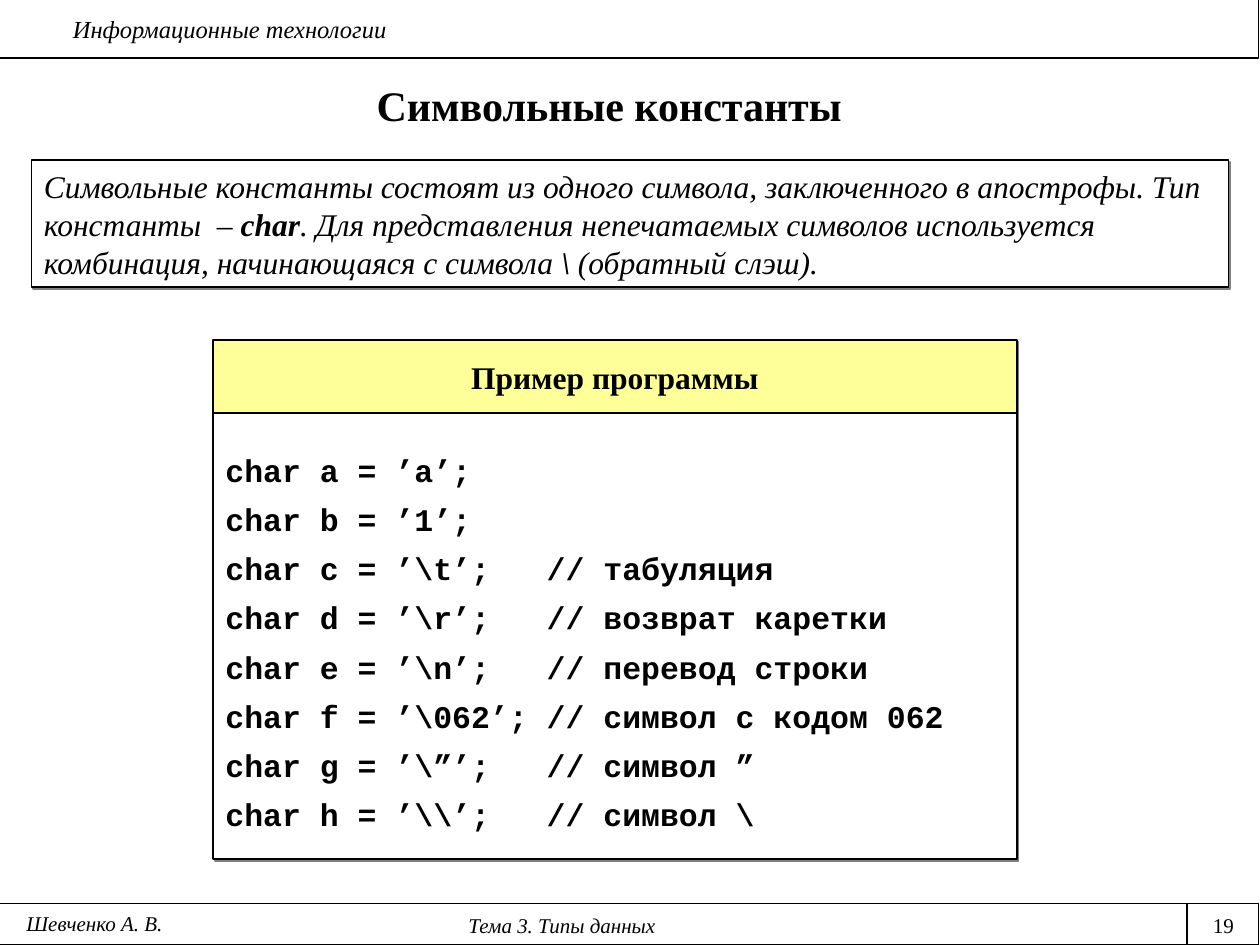
from lxml import etree
from pptx import Presentation
from pptx import util as u
from pptx.dml.color import RGBColor
from pptx.enum import shapes, text
from pptx.oxml import parse_xml
from pptx.oxml.ns import nsdecls, qn

SHADOW = (
    f'<a:effectLst {nsdecls("a")}>'
    '<a:outerShdw dist="17780" dir="2700000" algn="ctr" rotWithShape="0">'
    '<a:srgbClr val="808080"/></a:outerShdw></a:effectLst>'
)


def color(value):
    return RGBColor.from_string(value)


def write(frame, paragraphs, size=18, font="Times New Roman", bold=False, italic=False,
          align=text.PP_ALIGN.LEFT, spacing=None, anchor=text.MSO_ANCHOR.TOP):
    frame.word_wrap = True
    frame.auto_size = text.MSO_AUTO_SIZE.NONE
    frame.vertical_anchor = anchor
    for index, runs in enumerate(paragraphs):
        paragraph = frame.paragraphs[0] if index == 0 else frame.add_paragraph()
        paragraph.alignment = align
        paragraph.line_spacing = spacing
        for words, strong in [(runs, bold)] if isinstance(runs, str) else runs:
            run = paragraph.add_run()
            run.text = words
            run.font.name = font
            run.font.size = u.Pt(size)
            run.font.bold = strong
            run.font.italic = italic
            run.font.color.rgb = color("000000")


class Slide:
    ink = "000000"

    def __init__(self, deck):
        self.slide = deck.slides.add_slide(deck.slide_layouts[5])
        self.shapes = self.slide.shapes

    def title(self, words, left, top, width, height):
        heading = self.shapes.title
        heading.left, heading.top = u.Inches(left), u.Inches(top)
        heading.width, heading.height = u.Inches(width), u.Inches(height)
        write(heading.text_frame, [words], size=24, bold=True,
              align=text.PP_ALIGN.CENTER, anchor=text.MSO_ANCHOR.MIDDLE)

    def label(self, words, left, top, width, height, **style):
        box = self.shapes.add_textbox(*map(u.Inches, (left, top, width, height)))
        write(box.text_frame, [words], **style)

    def band(self, left, top, width, height, fill="FFFFFF", weight=0.75):
        box = self.shapes.add_shape(shapes.MSO_SHAPE.RECTANGLE,
                                    *map(u.Inches, (left, top, width, height)))
        box.shadow.inherit = False
        box.fill.solid()
        box.fill.fore_color.rgb = color(fill)
        box.line.color.rgb = color(self.ink)
        box.line.width = u.Pt(weight)
        return box

    def panel(self, paragraphs, left, top, width, height, fill="FFFFFF", **style):
        box = self.band(left, top, width, height, fill, weight=1)
        properties = box.element.spPr
        properties.replace(properties.find(qn("a:effectLst")), parse_xml(SHADOW))
        write(box.text_frame, paragraphs, anchor=text.MSO_ANCHOR.MIDDLE, **style)

    def rule(self, x1, y1, x2, y2):
        line = self.shapes.add_connector(shapes.MSO_CONNECTOR.STRAIGHT,
                                         *map(u.Inches, (x1, y1, x2, y2)))
        line.line.color.rgb = color(self.ink)
        line.line.width = u.Pt(0.75)
        etree.SubElement(line.element.spPr, qn("a:effectLst"))


deck = Presentation()
deck.slide_width, deck.slide_height = u.Inches(10), u.Inches(7.5)
slide = Slide(deck)
center = text.PP_ALIGN.CENTER

slide.band(-0.01, 7.17, 10, 0.33)
slide.band(-0.01, -0.01, 10, 0.47)
slide.label("Информационные технологии", 0.48, 0.06, 9.42, 0.34, size=14, italic=True)
for footer, left, top, width, slanted in (
    ("Тема 3. Типы данных", 0, 7.19, 8.92, True),
    ("19", 9.42, 7.19, 0.58, False),
    ("Шевченко А. В.", 0, 7.18, 1.5, True),
):
    slide.label(footer, left, top, width, 0.3, size=12, italic=slanted, align=center)
slide.rule(9.42, 7.17, 9.42, 7.5)
slide.title("Символьные константы", 0.25, 0.58, 9.17, 0.5)

definition = [
    ("Символьные константы состоят из одного символа, заключенного в апострофы. "
     "Тип константы  – ", False),
    ("char", True),
    (". Для представления непечатаемых символов используется комбинация, "
     "начинающаяся с символа ", False),
    ("\\", True),
    (" (обратный слэш).", False),
]
slide.panel([definition], 0.25, 1.27, 9.5, 1.01, italic=True, spacing=1.0)

program = [
    "char a = ’a’;",
    "char b = ’1’;",
    "char c = ’\\t’;   // табуляция",
    "char d = ’\\r’;   // возврат каретки",
    "char e = ’\\n’;   // перевод строки",
    "char f = ’\\062’; // символ с кодом 062",
    "char g = ’\\”’;   // символ ”",
    "char h = ’\\\\’;   // символ \\",
]
slide.panel(["Пример программы"], 1.69, 2.7, 6.38, 0.58, fill="FFFF99",
            bold=True, align=center)
slide.panel(program, 1.69, 3.28, 6.38, 3.54, font="Courier New", bold=True, spacing=1.3)

deck.save("out.pptx")
